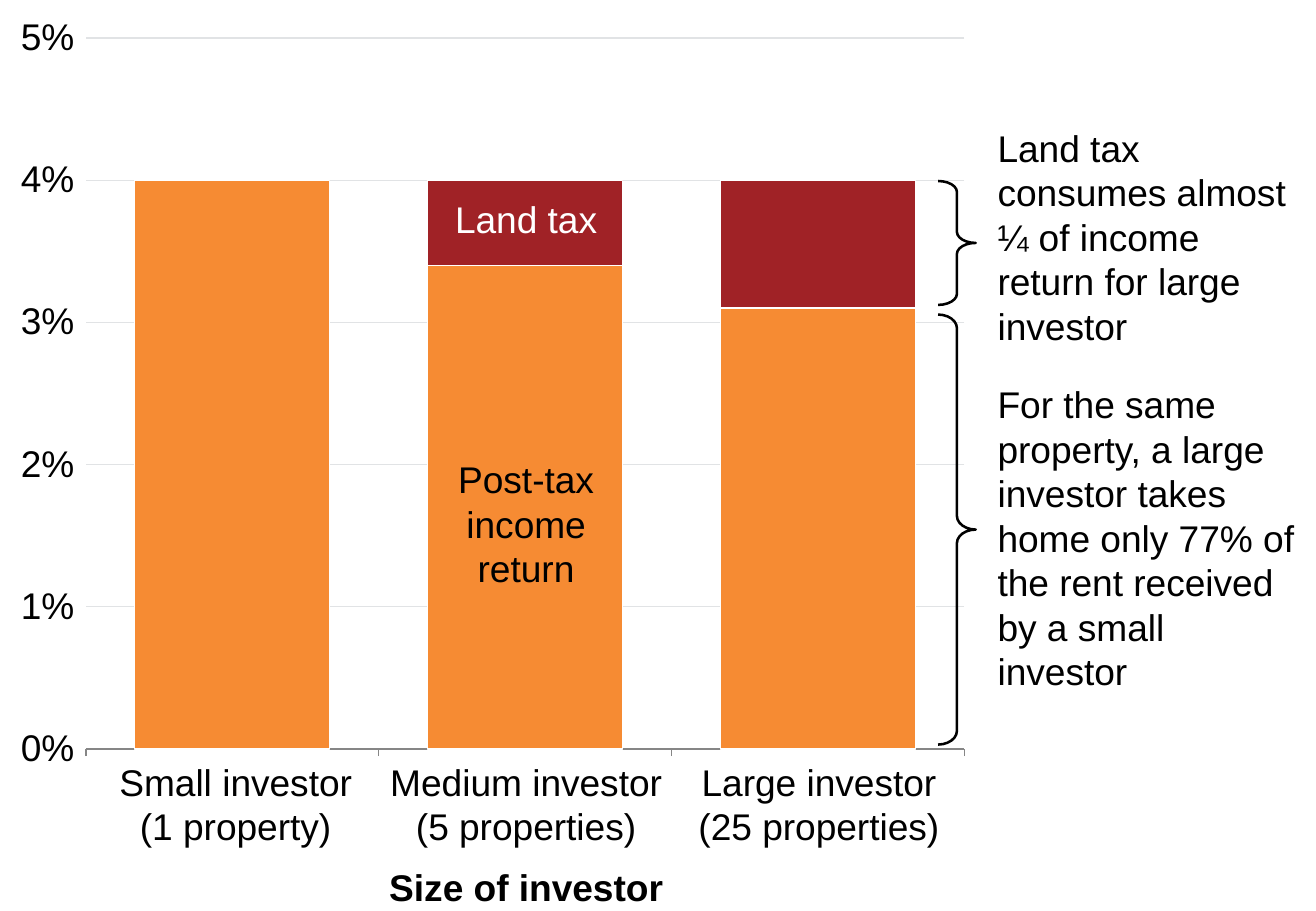
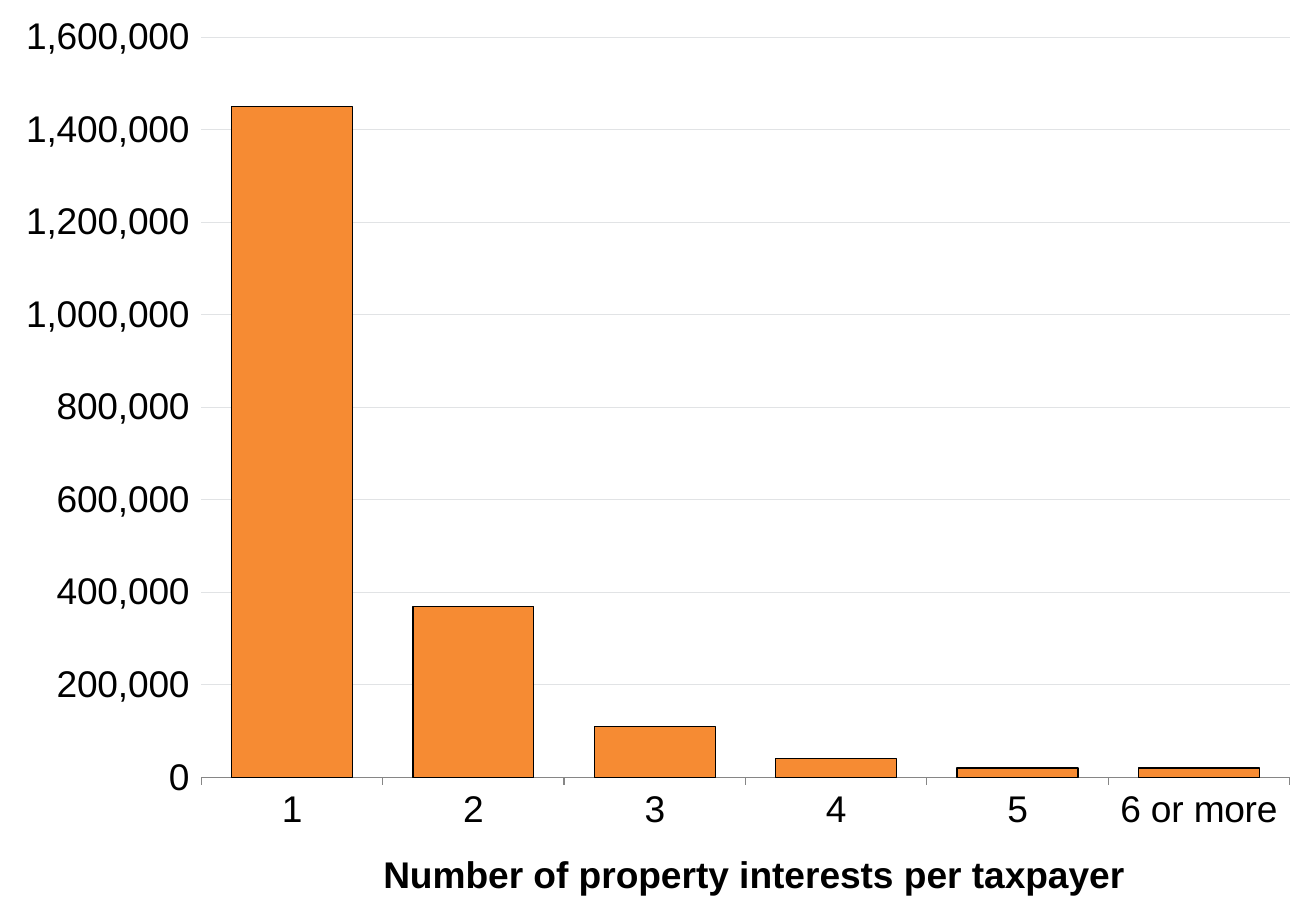
from dataclasses import dataclass

from lxml import etree
from pptx import Presentation
from pptx.chart.data import CategoryChartData
from pptx.dml.color import RGBColor
from pptx.enum.chart import XL_CHART_TYPE, XL_TICK_LABEL_POSITION, XL_TICK_MARK
from pptx.enum.shapes import MSO_SHAPE
from pptx.enum.text import PP_ALIGN
from pptx.oxml.ns import qn
from pptx.util import Inches, Pt

STACKED = XL_CHART_TYPE.COLUMN_STACKED
CLUSTERED = XL_CHART_TYPE.COLUMN_CLUSTERED
NO_LABELS = XL_TICK_LABEL_POSITION.NONE
TICK_OUTSIDE = XL_TICK_MARK.OUTSIDE
RIGHT_BRACE = MSO_SHAPE.RIGHT_BRACE
LEFT = PP_ALIGN.LEFT
CENTER = PP_ALIGN.CENTER


@dataclass(frozen=True)
class Theme:
    font: str = "Arial"
    text_size: int = 22
    chart_size: int = 18
    hairline: float = 0.75
    brace_line: float = 1.5
    black: RGBColor = RGBColor(0x00, 0x00, 0x00)
    white: RGBColor = RGBColor(0xFF, 0xFF, 0xFF)
    orange: RGBColor = RGBColor(0xF6, 0x8B, 0x33)
    red: RGBColor = RGBColor(0xA0, 0x22, 0x26)
    grid: RGBColor = RGBColor(0xE1, 0xE3, 0xE5)
    axis: RGBColor = RGBColor(0x86, 0x86, 0x86)


theme = Theme()


def add_text(page, place, lines, align=CENTER, color=theme.black, bold=False):
    box = page.shapes.add_textbox(*map(Inches, place))
    frame = box.text_frame
    frame.word_wrap = True
    frame.margin_left = frame.margin_right = 0
    frame.margin_top = frame.margin_bottom = 0
    frame.text = lines
    for para in frame.paragraphs:
        para.alignment = align
        para.font.name = theme.font
        para.font.size = Pt(theme.text_size)
        para.font.bold = bold
        para.font.color.rgb = color


def add_columns(page, kind, place, categories, series, outline, plot_area, top, step, number_format):
    data = CategoryChartData(number_format=number_format)
    data.categories = categories
    for number, (values, color) in enumerate(series, 1):
        data.add_series(f"Series {number}", values)
    chart = page.shapes.add_chart(kind, *map(Inches, place), data).chart
    chart.has_legend = False
    chart.has_title = False
    chart.font.name = theme.font
    chart.font.size = Pt(theme.chart_size)
    chart.font.color.rgb = theme.black

    plot = chart.plots[0]
    plot.gap_width = 50
    plot.overlap = 100
    plot.vary_by_categories = False
    for column, (values, color) in zip(plot.series, series):
        column.format.fill.solid()
        column.format.fill.fore_color.rgb = color
        column.format.line.color.rgb = outline
        column.format.line.width = Pt(theme.hairline)

    for axis in (chart.category_axis, chart.value_axis):
        axis.major_tick_mark = TICK_OUTSIDE
        axis.tick_labels.font.size = Pt(theme.text_size)
    chart.category_axis.format.line.color.rgb = theme.axis
    value_axis = chart.value_axis
    value_axis.minimum_scale = 0
    value_axis.maximum_scale = top
    value_axis.major_unit = step
    value_axis.format.line.fill.background()
    value_axis.tick_labels.number_format = number_format
    value_axis.tick_labels.number_format_is_linked = False
    value_axis.major_gridlines.format.line.color.rgb = theme.grid
    value_axis.major_gridlines.format.line.width = Pt(theme.hairline)

    area = chart.element.find(".//" + qn("c:plotArea"))
    for old_layout in area.findall(qn("c:layout")):
        area.remove(old_layout)
    layout = etree.Element(qn("c:layout"))
    manual = etree.SubElement(layout, qn("c:manualLayout"))
    settings = [("layoutTarget", "inner"), ("xMode", "edge"), ("yMode", "edge")]
    settings += zip("xywh", plot_area)
    for name, value in settings:
        etree.SubElement(manual, qn(f"c:{name}")).set("val", str(value))
    area.insert(0, layout)
    return chart


deck = Presentation()
deck.slide_width = Inches(10.83)
deck.slide_height = Inches(7.5)
blank = deck.slide_layouts[6]

page = deck.slides.add_slide(blank)
tax_chart = add_columns(
    page, STACKED, (0.01, 0, 7.93, 6.39), ["1", "2", "3"],
    [((0.04, 0.034, 0.031), theme.orange), ((0, 0.006, 0.009), theme.red)],
    theme.white, (0.088, 0.049, 0.912, 0.916), 0.05, 0.01, "0%",
)
tax_chart.category_axis.tick_label_position = NO_LABELS
add_text(page, (0.72, 7.12, 7.22, 0.37), "Size of investor", bold=True)

for top, height, curve in ((2.59, 3.54, 0.363), (1.49, 1.02, 0.293)):
    brace = page.shapes.add_shape(RIGHT_BRACE, Inches(7.72), Inches(top), Inches(0.31), Inches(height))
    brace.adjustments[0] = curve
    brace.shadow.inherit = False
    brace.fill.background()
    brace.line.color.rgb = theme.black
    brace.line.width = Pt(theme.brace_line)

notes = [
    (3.14, 2.59, "For the same property, a large investor takes home only 77% of the rent received by a small investor"),
    (1.03, 1.85, "Land tax consumes almost ¼ of income return for large investor"),
]
for top, height, words in notes:
    add_text(page, (8.21, top, 2.47, height), words, align=LEFT)

add_text(page, (3.73, 3.76, 1.2, 1.11), "Post-tax income return")
add_text(page, (3.73, 1.62, 1.2, 0.37), "Land tax", color=theme.white)

investors = [
    (0.82, 2.24, "Small investor\n(1 property)"),
    (3.12, 2.42, "Medium investor\n(5 properties)"),
    (5.62, 2.24, "Large investor\n(25 properties)"),
]
for left, width, words in investors:
    add_text(page, (left, 6.25, width, 0.74), words)

page = deck.slides.add_slide(blank)
add_text(page, (2.46, 7.01, 7.49, 0.37), "Number of property interests per taxpayer", bold=True)
add_columns(
    page, CLUSTERED, (0, 0, 10.83, 6.98), ["1", "2", "3", "4", "5", "6 or more"],
    [((1450000, 370000, 110000, 40000, 20000, 20000), theme.orange)],
    theme.black, (0.153, 0.044, 0.827, 0.873), 1600000, 200000, "#,##0",
)

deck.save("out.pptx")
